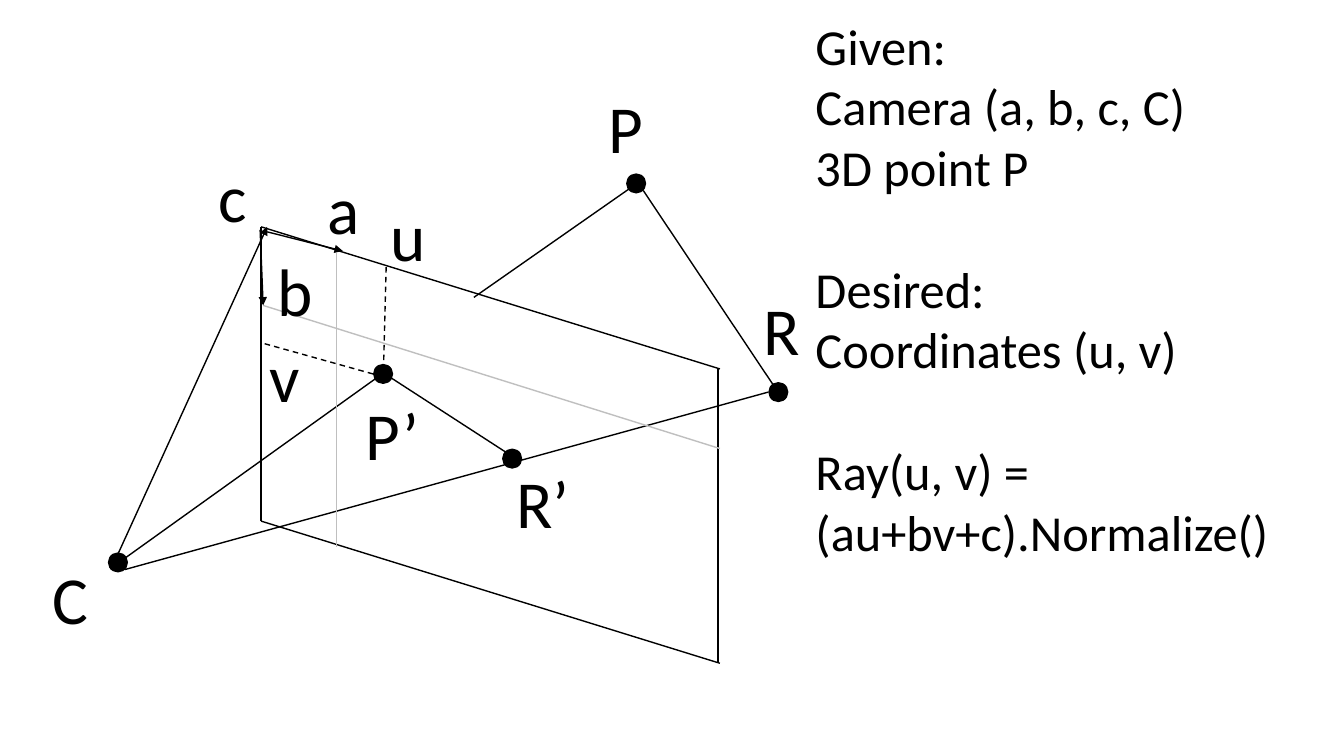
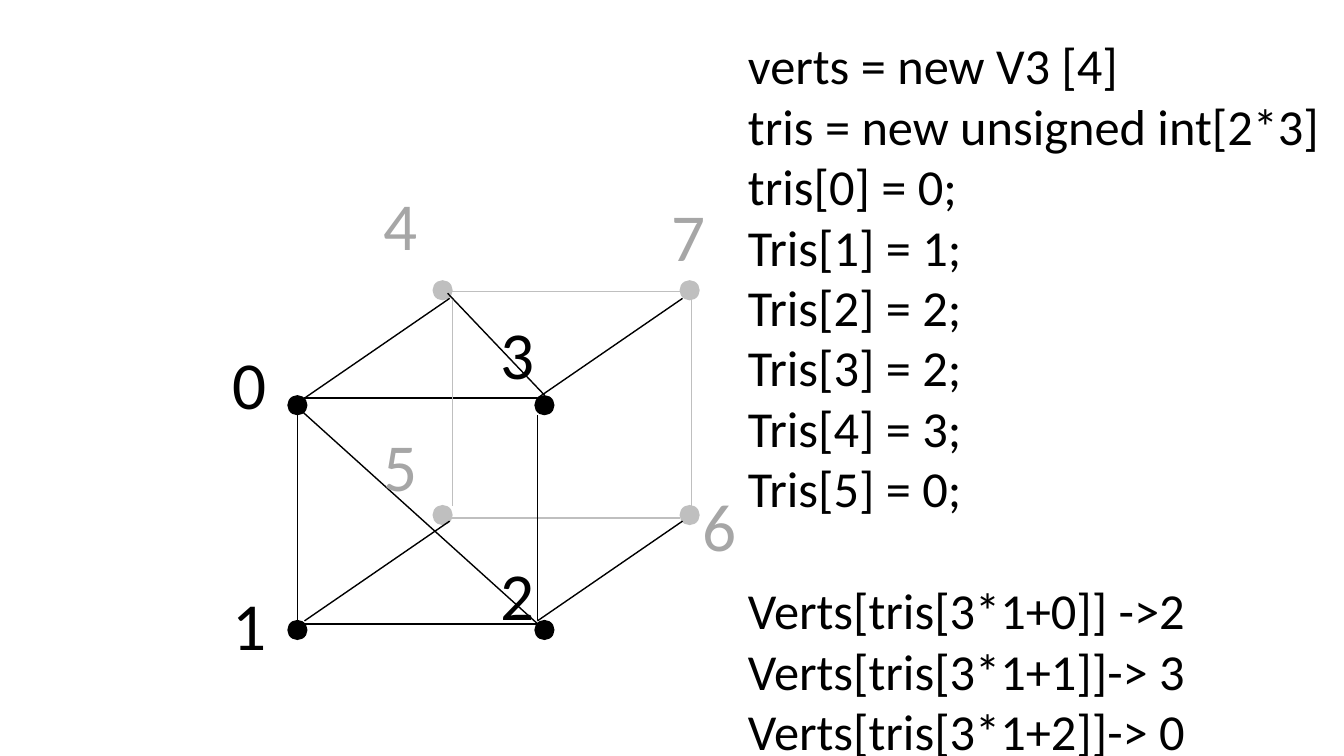
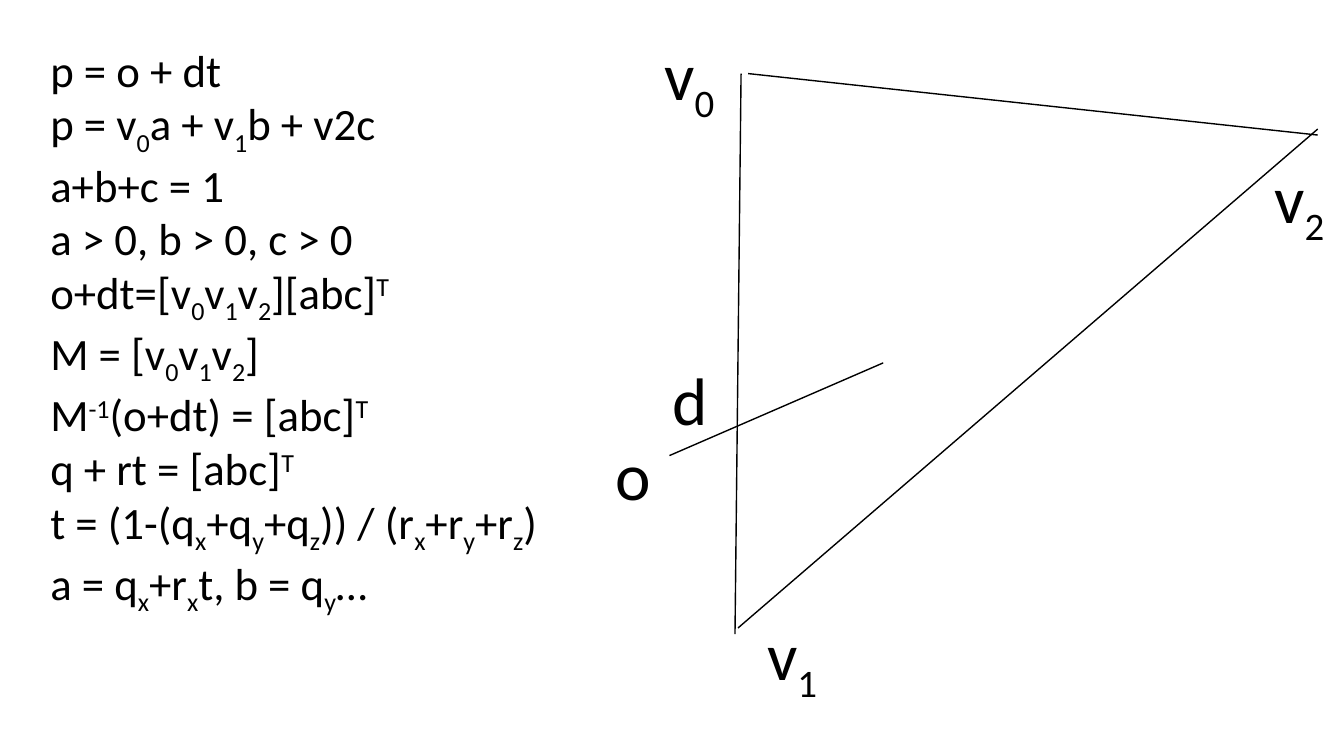
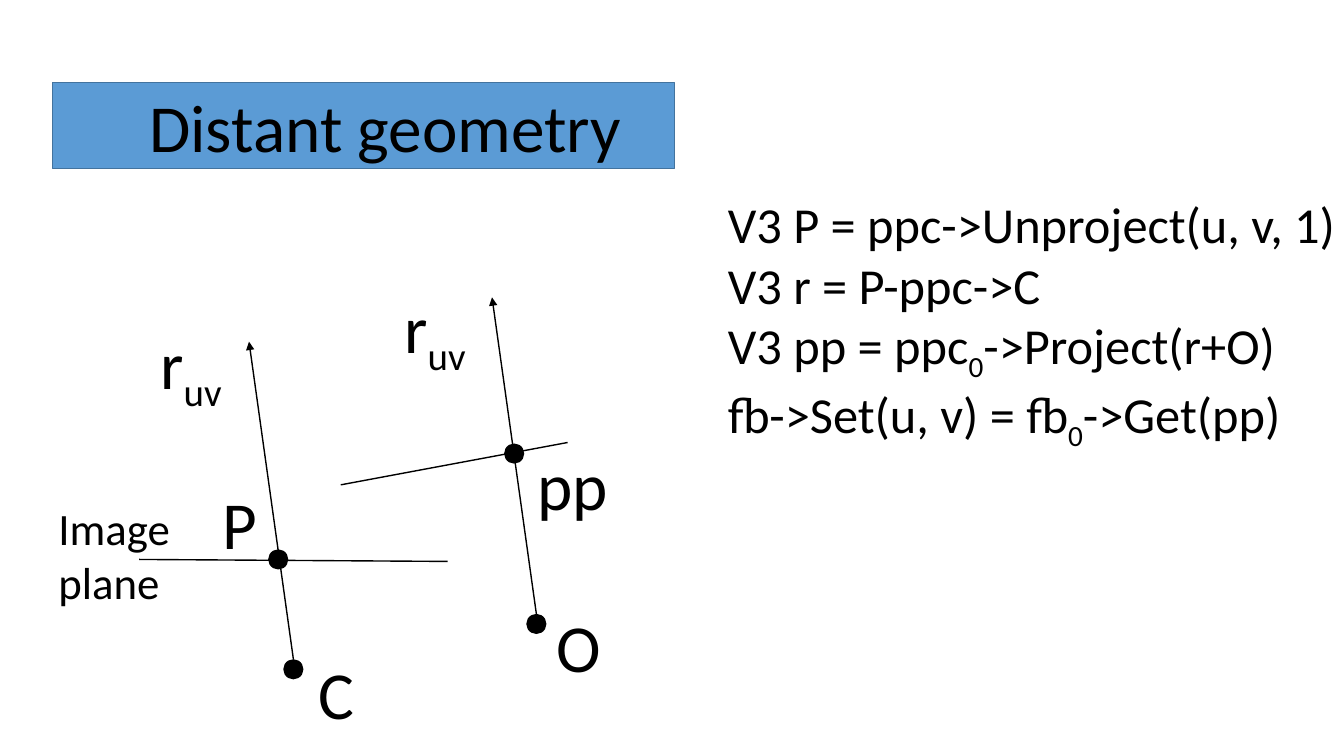
from itertools import product

from lxml.etree import SubElement
from pptx import Presentation
from pptx.dml.color import RGBColor
from pptx.enum.dml import MSO_LINE
from pptx.enum.shapes import MSO_CONNECTOR, MSO_SHAPE
from pptx.enum.text import MSO_ANCHOR, MSO_AUTO_SIZE, PP_ALIGN
from pptx.oxml.ns import qn
from pptx.util import Inches, Pt

FONT = "Calibri"
BLACK, GRAY, LABEL_GRAY = "000000", "BFBFBF", "A6A6A6"
BAND_FILL, BAND_LINE = "5B9BD5", "43739E"
TITLE_ONLY, BLANK = 5, 6
DOT = 0.2
LABEL_SIZE = 48
SCRIPTS = {"_": "-25000", "^": "30000"}


def set_color(color_format, value):
    """Apply a hex colour to a font, fill or line colour."""
    color_format.rgb = RGBColor.from_string(value)


def write(p, text, size, color=BLACK):
    """Write text in which {_x} is a subscript and {^x} a superscript."""
    for i, part in enumerate(text.replace("}", "{").split("{")):
        if not part:
            continue
        r = p.add_run()
        r.text = part[1:] if i % 2 else part
        r.font.name, r.font.size = FONT, Pt(size)
        set_color(r.font.color, color)
        if i % 2:
            r._r.get_or_add_rPr().set("baseline", SCRIPTS[part[0]])


def add_text(slide, x, y, w, h, lines, size, color=BLACK, gaps=()):
    """Add a text box; the lines numbered in gaps get a line of space above."""
    tf = slide.shapes.add_textbox(Inches(x), Inches(y), Inches(w), Inches(h)).text_frame
    tf.word_wrap = False
    tf.auto_size = MSO_AUTO_SIZE.SHAPE_TO_FIT_TEXT
    for i, line in enumerate(lines):
        p = tf.add_paragraph() if i else tf.paragraphs[0]
        write(p, line, size, color)
        if i in gaps:
            p.space_before = Pt(size * 1.22)


def add_label(slide, text, x, y, w=0.56, color=BLACK):
    """Add a large one-line label."""
    add_text(slide, x, y, w, 0.91, [text], LABEL_SIZE, color)


def add_dot(slide, x, y, color=BLACK):
    """Add a point marker with its top left corner at x, y."""
    sp = slide.shapes.add_shape(
        MSO_SHAPE.OVAL, Inches(x), Inches(y), Inches(DOT), Inches(DOT))
    sp.shadow.inherit = False
    sp.fill.solid()
    set_color(sp.fill.fore_color, color)
    sp.line.fill.background()


def add_line(slide, x1, y1, x2, y2, color=BLACK, dash=False, arrow=False):
    """Add a thin straight line, optionally dashed or with an arrowhead."""
    line = slide.shapes.add_connector(
        MSO_CONNECTOR.STRAIGHT, Inches(x1), Inches(y1), Inches(x2), Inches(y2))
    line.line.width = Pt(1)
    set_color(line.line.color, color)
    if dash:
        line.line.dash_style = MSO_LINE.DASH
    spPr = line._element.spPr
    if arrow:
        SubElement(spPr.find(qn("a:ln")), qn("a:tailEnd"), type="triangle")
    SubElement(spPr, qn("a:effectLst"))


def add_title(slide, text):
    """Turn the title placeholder into the coloured title band."""
    title = slide.shapes.title
    title.left, title.top = Inches(0.52), Inches(0.82)
    title.width, title.height = Inches(6.17), Inches(0.85)
    title.fill.solid()
    set_color(title.fill.fore_color, BAND_FILL)
    set_color(title.line.color, BAND_LINE)
    title.line.width = Pt(1)
    tf = title.text_frame
    tf.auto_size = MSO_AUTO_SIZE.NONE
    tf.word_wrap = True
    tf.vertical_anchor = MSO_ANCHOR.MIDDLE
    tf.margin_left = Inches(0.96)
    tf.margin_top = tf.margin_bottom = 0
    p = tf.paragraphs[0]
    p.alignment = PP_ALIGN.LEFT
    write(p, text, LABEL_SIZE)


def add_slide(prs, layout=BLANK):
    """Add a slide with the given layout."""
    return prs.slides.add_slide(prs.slide_layouts[layout])


def build_projection(prs):
    """Show the projection of 3D points onto the image plane."""
    slide = add_slide(prs)
    image_plane = [(7.14, 3.66, 2.59, 2.25), (2.59, 2.25, 2.59, 5.17),
                   (7.12, 3.66, 7.12, 6.58), (7.14, 6.58, 2.59, 5.17)]
    rays = [(6.36, 1.79, 4.7, 2.95), (3.79, 3.71, 1.18, 5.58), (7.62, 3.89, 1.24, 5.65)]
    segments = [(6.38, 1.89, 7.69, 3.85), (3.85, 3.73, 5.1, 4.54)]
    for ends in image_plane + rays + segments:
        add_line(slide, *ends)
    for ends in [(3.34, 2.51, 3.34, 5.43), (2.61, 3.03, 7.14, 4.45)]:
        add_line(slide, *ends, color=GRAY)
    for ends in [(3.83, 2.65, 3.8, 3.79), (3.7, 3.71, 2.59, 3.4)]:
        add_line(slide, *ends, dash=True)
    for ends in [(1.1, 5.65, 2.65, 2.25), (2.65, 2.3, 3.4, 2.49), (2.58, 2.28, 2.61, 3.03)]:
        add_line(slide, *ends, arrow=True)
    for x, y in [(1.07, 5.48), (6.21, 1.72), (3.7, 3.61), (4.98, 4.45), (7.62, 3.79)]:
        add_dot(slide, x, y)
    for text, x, y, w in [
            ("P", 5.94, 0.81, 0.55), ("C", 0.42, 5.48, 0.56), ("P’", 3.53, 3.85, 0.73),
            ("u", 3.78, 1.88, 0.54), ("v", 2.57, 3.28, 0.51), ("c", 2.07, 1.49, 0.49),
            ("a", 3.15, 1.61, 0.52), ("b", 2.65, 2.42, 0.56), ("R’", 5.02, 4.53, 0.73),
            ("R", 7.47, 2.81, 0.57)]:
        add_label(slide, text, x, y, w)
    add_text(slide, 7.99, 0.1, 4.74, 5.55, [
        "Given:", "Camera (a, b, c, C)", "3D point P",
        "Desired:", "Coordinates (u, v)",
        "Ray(u, v) =", "(au+bv+c).Normalize()"], 36, gaps=(3, 5))


def build_cube(prs):
    """Show a cube's vertices and the indexing of its triangles."""
    slide = add_slide(prs)
    for x, y in product((2.85, 5.3), (3.92, 6.15)):
        add_dot(slide, x, y)
        add_dot(slide, x + 1.44, y - 1.14, GRAY)
    for y in (3.95, 6.19):
        add_line(slide, 5.33, y, 3.02, y)
    for y in (2.89, 5.14):
        add_line(slide, 6.74, y, 4.43, y, GRAY)
    for x, y in product((3.02, 5.33), (3.95, 6.16)):
        add_line(slide, x + 1.44, y - 0.99, x, y)
    for x in (2.95, 5.33):
        add_line(slide, x, 6.15, x, 4.12)
    for x in (4.49, 6.86):
        add_line(slide, x, 5.02, x, 2.98, GRAY)
    for ends in [(5.4, 6.25, 2.95, 4.04), (5.4, 3.92, 4.44, 2.91)]:
        add_line(slide, *ends)
    front = [(2.21, 3.35), (2.21, 5.74), (4.87, 5.44), (4.87, 3.05)]
    back = [(3.71, 1.77), (3.71, 4.16), (6.87, 4.76), (6.56, 1.88)]
    for i, (x, y) in enumerate(front + back):
        add_label(slide, str(i), x, y, color=BLACK if i < len(front) else LABEL_GRAY)
    add_text(slide, 7.32, 0.29, 5.92, 7.37, [
        "verts = new V3 [4]", "tris = new unsigned int[2*3]",
        "tris[0] = 0;", "Tris[1] = 1;", "Tris[2] = 2;",
        "Tris[3] = 2;", "Tris[4] = 3;", "Tris[5] = 0;",
        "Verts[tris[3*1+0]] ->2", "Verts[tris[3*1+1]]-> 3", "Verts[tris[3*1+2]]-> 0",
    ], 36, gaps=(8,))


def build_intersection(prs):
    """Show the intersection of a ray with a triangle."""
    slide = add_slide(prs)
    add_text(slide, 0.4, 0.37, 8.65, 5.49, [
        "p = o + dt",
        "p = v{_0}a + v{_1}b + v2c",
        "a+b+c = 1",
        "a > 0, b > 0, c > 0",
        "o+dt=[v{_0}v{_1}v{_2}][abc]{^T}",
        "M = [v{_0}v{_1}v{_2}]",
        "M{^-1}(o+dt) = [abc]{^T}",
        "q + rt = [abc]{^T}",
        "t = (1-(q{_x}+q{_y}+q{_z})) / (r{_x}+r{_y}+r{_z})",
        "a = q{_x}+r{_x}t, b = q{_y}…"], 32)
    ray = (8.76, 3.6, 6.64, 4.52)
    triangle = [(13.07, 1.34, 7.42, 0.73), (7.29, 6.29, 7.35, 0.73), (7.32, 6.23, 13.07, 1.28)]
    for ends in [ray] + triangle:
        add_line(slide, *ends)
    add_label(slide, "o", 6.01, 4.25)
    add_label(slide, "d", 6.57, 3.51)
    for i, (x, y) in enumerate([(6.49, 0.28), (7.51, 6.04), (12.54, 1.5)]):
        add_label(slide, f"v{{_{i}}}", x, y, 0.73)


def build_distant_geometry(prs):
    """Show the lookup of distant geometry by ray direction."""
    slide = add_slide(prs, TITLE_ONLY)
    add_title(slide, "Distant geometry")
    for ends in [(1.38, 5.55, 4.44, 5.57), (3.38, 4.81, 5.63, 4.39)]:
        add_line(slide, *ends)
    for ends in [(2.91, 6.54, 2.47, 3.39), (5.32, 6.09, 4.88, 2.95)]:
        add_line(slide, *ends, arrow=True)
    for x, y in [(2.81, 6.54), (5.22, 6.09), (5, 4.4), (2.66, 5.45)]:
        add_dot(slide, x, y)
    for text, x, y, w in [
            ("C", 3.06, 6.42, 0.56), ("O", 5.42, 5.96, 0.65), ("P", 2.11, 4.74, 0.55),
            ("pp", 5.23, 4.35, 0.91), ("r{_uv}", 1.49, 3.15, 0.88),
            ("r{_uv}", 3.91, 2.79, 0.88)]:
        add_label(slide, text, x, y, w)
    add_text(slide, 0.48, 4.92, 1.32, 1.18, ["Image", "plane"], 32)
    add_text(slide, 7.12, 1.87, 6.28, 2.52, [
        "V3 P = ppc->Unproject(u, v, 1)",
        "V3 r = P-ppc->C",
        "V3 pp = ppc{_0}->Project(r+O)",
        "fb->Set(u, v) = fb{_0}->Get(pp)"], 36)


def main():
    """Build the four slides and save them."""
    prs = Presentation()
    prs.slide_width, prs.slide_height = Inches(13.33), Inches(7.5)
    build_projection(prs)
    build_cube(prs)
    build_intersection(prs)
    build_distant_geometry(prs)
    prs.save("out.pptx")


main()
